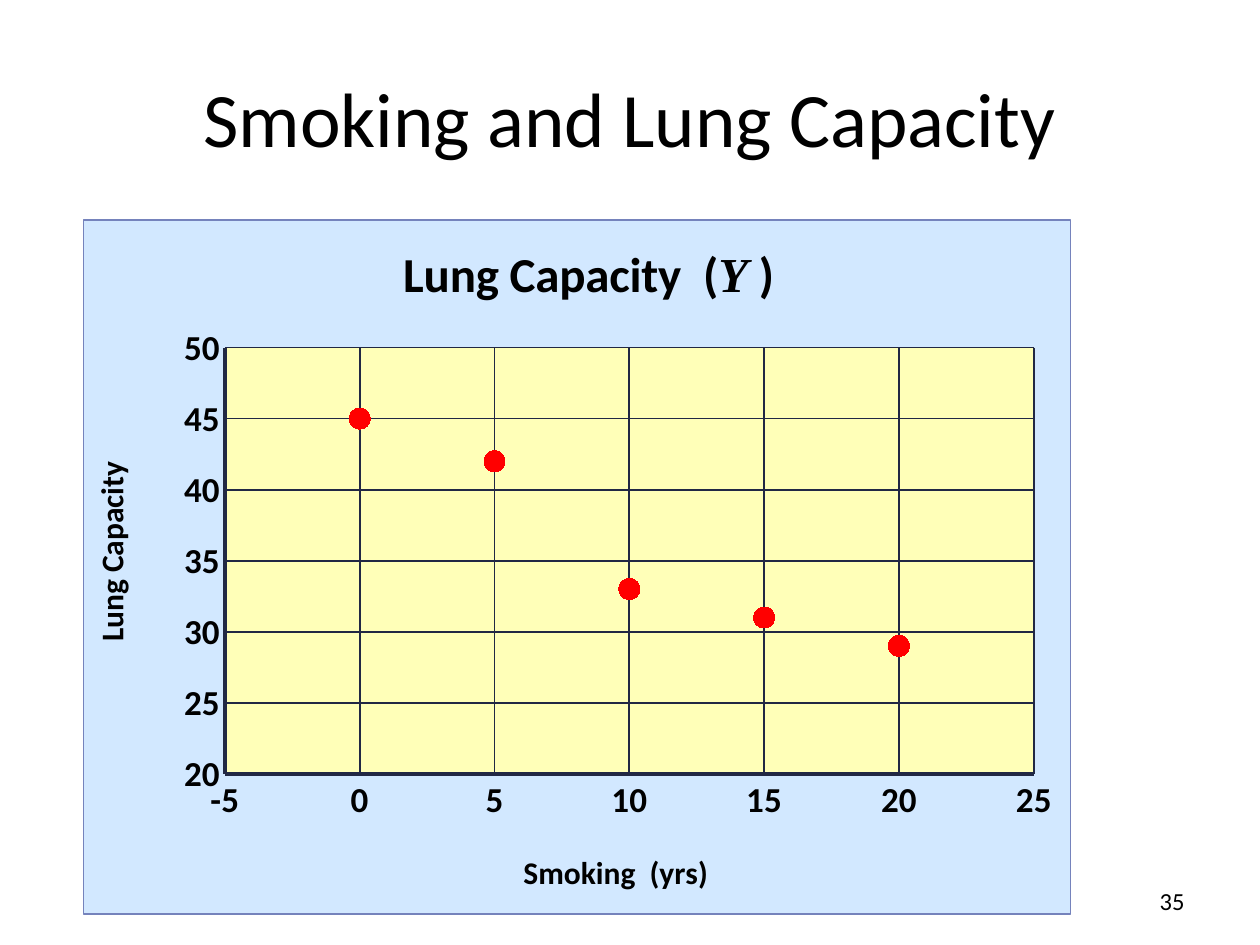
from lxml import etree
from pptx import Presentation
from pptx import util as u
from pptx.chart.data import XyChartData
from pptx.dml.color import RGBColor
from pptx.enum import chart as ch, text
from pptx.oxml import parse_xml
from pptx.oxml.ns import nsdecls, qn

BLACK = RGBColor(0x00, 0x00, 0x00)
NAVY = RGBColor(0x21, 0x28, 0x44)
RED = RGBColor(0xFF, 0x00, 0x00)
PALE_BLUE = RGBColor(0xD2, 0xE8, 0xFF)
PALE_YELLOW = RGBColor(0xFF, 0xFF, 0xB8)
SLATE = RGBColor(0x75, 0x83, 0xBC)

HEADING = "Smoking and Lung Capacity"
PAGE = "35"
CAPACITY_BY_YEARS = [(None, None), (0, 45), (5, 42), (10, 33), (15, 31), (20, 29)]
CHART_TITLE = [("Lung Capacity  (", "Calibri", False), ("Y", "Times New Roman", True), (" )", "Calibri", False)]
YEARS_TITLE = [("Smoking  (yrs)", "Calibri", False)]
CAPACITY_TITLE = [("Lung Capacity", "Calibri", False)]
YEARS_SCALE = {"minimum_scale": -5, "maximum_scale": 25}
CAPACITY_SCALE = {"minimum_scale": 20, "maximum_scale": 50}
AXIS_FORMAT = {
    "major_unit": 5,
    "has_major_gridlines": True,
    "major_tick_mark": ch.XL_TICK_MARK.NONE,
    "minor_tick_mark": ch.XL_TICK_MARK.NONE,
    "tick_label_position": ch.XL_TICK_LABEL_POSITION.NEXT_TO_AXIS,
    "crosses": ch.XL_AXIS_CROSSES.MINIMUM,
}


def set_all(target, values):
    for key, value in values.items():
        setattr(target, key, value)


def set_font(font, size, bold=False, face="Calibri", italic=False):
    set_all(font, {"size": u.Pt(size), "bold": bold, "name": face, "italic": italic})
    font.color.rgb = BLACK


def set_line(line, color, width):
    line.color.rgb = color
    line.width = u.Pt(width)


def place(element, index, **shares):
    for old in element.findall(qn("c:layout")):
        element.remove(old)
    layout = etree.Element(qn("c:layout"))
    manual = etree.SubElement(layout, qn("c:manualLayout"))
    values = {"xMode": "edge", "yMode": "edge", **shares}
    if "w" in shares:
        values = {"layoutTarget": "inner", **values}
    for key, value in values.items():
        etree.SubElement(manual, qn("c:" + key)).set("val", str(value))
    element.insert(index, layout)


def write_title(title, runs, size, x, y):
    paragraph = title.text_frame.paragraphs[0]
    for words, face, italic in runs:
        run = paragraph.add_run()
        run.text = words
        set_font(run.font, size, True, face, italic)
    place(title._element, 1, x=x, y=y)


def area_format(fill, line=""):
    return parse_xml(
        f'<c:spPr {nsdecls("c", "a")}><a:solidFill><a:srgbClr val="{fill}"/></a:solidFill>{line}</c:spPr>')


def add_heading(slide, width, height):
    heading = slide.shapes.title
    set_all(heading, {"left": int(width * 0.05), "top": int(height * 0.04),
                      "width": int(width * 0.9), "height": int(height / 6)})
    heading.text_frame.text = HEADING
    heading.text_frame.vertical_anchor = text.MSO_ANCHOR.MIDDLE
    paragraph = heading.text_frame.paragraphs[0]
    paragraph.alignment = text.PP_ALIGN.CENTER
    set_font(paragraph.runs[0].font, 44)


def add_page(slide):
    frame = slide.shapes.add_textbox(u.Inches(7.17), u.Inches(6.95), u.Inches(2.33), u.Inches(0.4)).text_frame
    set_all(frame, {"word_wrap": True, "vertical_anchor": text.MSO_ANCHOR.MIDDLE, "text": PAGE})
    frame.paragraphs[0].alignment = text.PP_ALIGN.RIGHT
    set_font(frame.paragraphs[0].runs[0].font, 14)


def add_scatter(slide):
    data = XyChartData()
    capacity = data.add_series("Series 1")
    for years, value in CAPACITY_BY_YEARS:
        capacity.add_data_point(years, value)
    chart = slide.shapes.add_chart(
        ch.XL_CHART_TYPE.XY_SCATTER, u.Inches(0.66), u.Inches(1.74), u.Inches(7.84), u.Inches(5.52), data).chart
    set_font(chart.font, 10)
    chart.has_legend = False
    chart.plots[0].vary_by_categories = False

    points = chart.plots[0].series[0]
    points.smooth = False
    points.format.line.fill.background()
    set_all(points.marker, {"style": ch.XL_MARKER_STYLE.CIRCLE, "size": 12})
    points.marker.format.fill.solid()
    points.marker.format.fill.fore_color.rgb = RED
    points.marker.format.line.color.rgb = RED

    for axis, scale, words, x, y in (
        (chart.category_axis, YEARS_SCALE, YEARS_TITLE, 0.44, 0.9),
        (chart.value_axis, CAPACITY_SCALE, CAPACITY_TITLE, 0, 0.34),
    ):
        set_all(axis, {**AXIS_FORMAT, **scale})
        set_font(axis.tick_labels.font, 20, True)
        axis.tick_labels.number_format = "General"
        axis.tick_labels.number_format_is_linked = False
        set_line(axis.format.line, NAVY, 2.25)
        set_line(axis.major_gridlines.format.line, NAVY, 1)
        write_title(axis.axis_title, words, 18, x, y)
    write_title(chart.chart_title, CHART_TITLE, 28, 0.32, 0.03)
    chart.chart_title.include_in_layout = False

    space = chart._chartSpace
    plot_area = space.chart.plotArea
    place(plot_area, 0, x=0.14, y=0.18, w=0.82, h=0.61)
    place(plot_area, 0, x=0.143, y=0.184, w=0.82, h=0.614)
    plot_area.append(area_format(PALE_YELLOW))
    border = f'<a:ln w="{u.Pt(0.75)}"><a:solidFill><a:srgbClr val="{SLATE}"/></a:solidFill></a:ln>'
    space.chart.addnext(area_format(PALE_BLUE, border))


def main():
    deck = Presentation()
    set_all(deck, {"slide_width": u.Inches(10), "slide_height": u.Inches(7.5)})
    slide = deck.slides.add_slide(deck.slide_layouts[5])
    add_heading(slide, deck.slide_width, deck.slide_height)
    add_page(slide)
    add_scatter(slide)
    deck.save("out.pptx")


if __name__ == "__main__":
    main()
